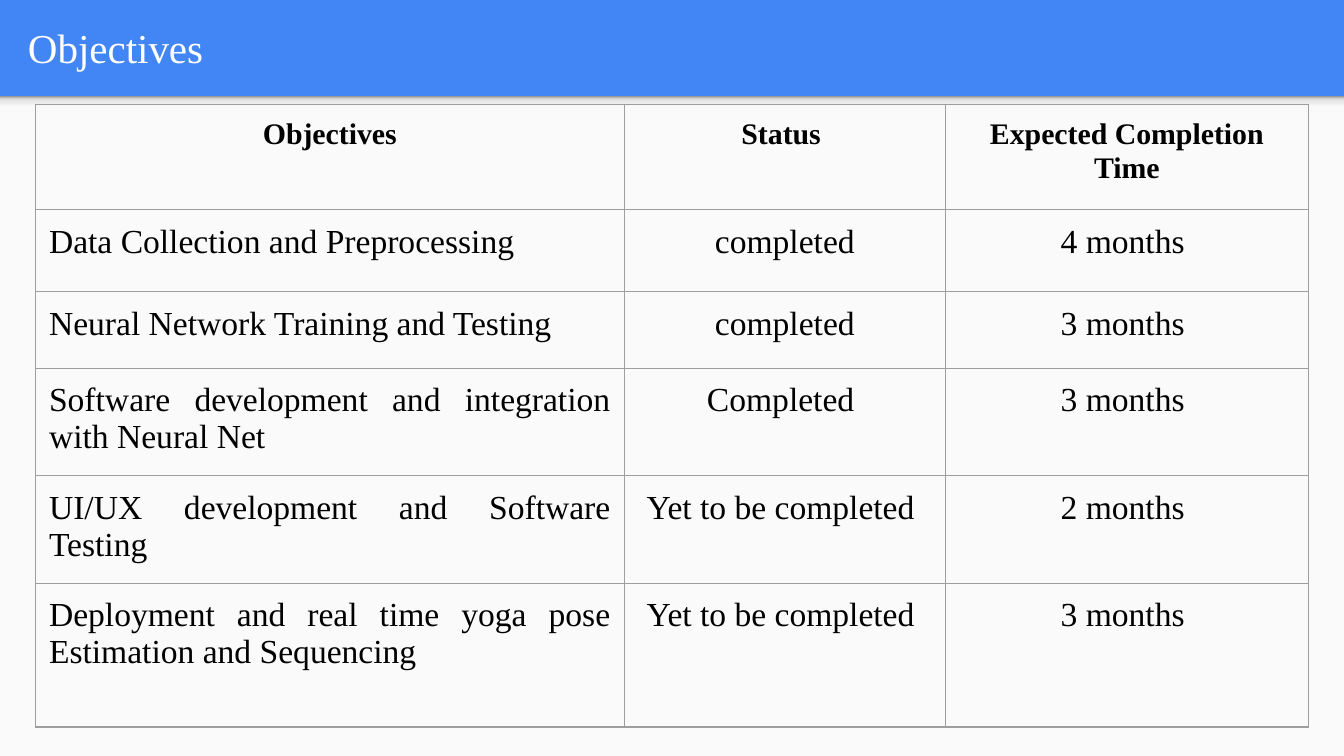
from copy import deepcopy
from dataclasses import dataclass

from lxml import etree
from pptx import Presentation
from pptx.dml.color import RGBColor
from pptx.enum.shapes import MSO_SHAPE
from pptx.enum.text import MSO_ANCHOR, PP_ALIGN
from pptx.oxml.ns import qn
from pptx.util import Inches, Pt

RECTANGLE = MSO_SHAPE.RECTANGLE
MIDDLE = MSO_ANCHOR.MIDDLE
CENTER = PP_ALIGN.CENTER
JUSTIFY = PP_ALIGN.JUSTIFY
LEFT = PP_ALIGN.LEFT

SLIDE_WIDTH = 10
SLIDE_HEIGHT = SLIDE_WIDTH * 9 / 16
BODY_HEIGHT = 4.91
HEADER_HEIGHT = SLIDE_HEIGHT - BODY_HEIGHT
FONT = "Times New Roman"
PADDING = dict.fromkeys(
    ("margin_left", "margin_right", "margin_top", "margin_bottom"), Inches(0.1))
COLUMN_WIDTHS = (4.38, 2.39, 2.7)
ROW_HEIGHTS = (0.78, 0.61, 0.57, 0.79, 0.79, 1.07)
TABLE_WIDTH = sum(COLUMN_WIDTHS)
SHADOW_STOPS = ((0, "F9F9F9"), (0.36, "F9F9F9"), (0.8, "DEDEDE"), (1, "999999"))


@dataclass(frozen=True)
class Objective:
    goal: str
    status: str
    duration: str

    def entries(self) -> tuple[str, str, str]:
        return self.goal, self.status, self.duration


@dataclass(frozen=True)
class TextStyle:
    size: int
    color: str = "000000"
    bold: bool = False
    align: PP_ALIGN = CENTER


HEADINGS = Objective("Objectives", "Status ", "Expected Completion Time")
OBJECTIVES = (
    Objective("Data Collection and Preprocessing", "completed", "4 months "),
    Objective("Neural Network Training and Testing", "completed", "3 months "),
    Objective("Software development and integration with Neural Net",
              "Completed ", "3 months "),
    Objective("UI/UX development and Software Testing ",
              "Yet to be completed ", "2 months "),
    Objective("Deployment and real time yoga pose Estimation and Sequencing",
              "Yet to be completed ", "3 months "),
)


def rgb(color: str) -> RGBColor:
    return RGBColor.from_string(color)


def apply(target, values: dict) -> None:
    for name, value in values.items():
        setattr(target, name, value)


def write(frame, text: str, style: TextStyle) -> None:
    paragraph = frame.paragraphs[0]
    paragraph.alignment = style.align
    run = paragraph.add_run()
    run.text = text
    apply(run.font, {"name": FONT, "size": Pt(style.size), "bold": style.bold})
    run.font.color.rgb = rgb(style.color)


def add_band(slide, top: float, height: float):
    band = slide.shapes.add_shape(
        RECTANGLE, 0, Inches(top), Inches(SLIDE_WIDTH), Inches(height))
    band.shadow.inherit = False
    band.line.fill.background()
    return band


def add_header_shadow(slide) -> None:
    band = add_band(slide, HEADER_HEIGHT, 0.12)
    band.fill.gradient()
    band.fill.gradient_angle = 90
    stop_list = next(band._element.spPr.iter(qn("a:gsLst")))
    while len(stop_list) < len(SHADOW_STOPS):
        stop_list.append(deepcopy(stop_list[0]))
    for stop, (position, color) in zip(band.fill.gradient_stops, SHADOW_STOPS):
        stop.position = position
        stop.color.rgb = rgb(color)


def add_title(slide, text: str) -> None:
    title = slide.shapes.add_textbox(
        Inches(0.11), Inches(0.02), Inches(9.65), Inches(0.66))
    frame = title.text_frame
    apply(frame, {"word_wrap": True, "vertical_anchor": MIDDLE, **PADDING})
    write(frame, text, TextStyle(22, "FFFFFF", align=LEFT))


def outline(cell, color: str, width: float) -> None:
    properties = cell._tc.get_or_add_tcPr()
    for side in ("lnL", "lnR", "lnT", "lnB"):
        border = etree.SubElement(properties, qn(f"a:{side}"), w=str(Pt(width)))
        fill = etree.SubElement(border, qn("a:solidFill"))
        etree.SubElement(fill, qn("a:srgbClr"), val=color)


def add_objectives_table(slide) -> None:
    table = slide.shapes.add_table(
        len(ROW_HEIGHTS), len(COLUMN_WIDTHS),
        Inches((SLIDE_WIDTH - TABLE_WIDTH) / 2), Inches(0.78),
        Inches(TABLE_WIDTH), Inches(sum(ROW_HEIGHTS))).table
    apply(table, {"first_row": False, "horz_banding": False})
    for column, width in zip(table.columns, COLUMN_WIDTHS):
        column.width = Inches(width)
    for row, height in zip(table.rows, ROW_HEIGHTS):
        row.height = Inches(height)

    heading_style = TextStyle(16, bold=True)
    goal_style = TextStyle(18, align=JUSTIFY)
    detail_style = TextStyle(18)
    for row_index, objective in enumerate((HEADINGS, *OBJECTIVES)):
        styles = (goal_style, detail_style, detail_style) if row_index else (heading_style,) * 3
        for column_index, (entry, style) in enumerate(zip(objective.entries(), styles)):
            cell = table.cell(row_index, column_index)
            apply(cell, PADDING)
            outline(cell, "9E9E9E", 0.75)
            cell.fill.background()
            write(cell.text_frame, entry, style)


def main() -> None:
    presentation = Presentation()
    apply(presentation, {"slide_width": Inches(SLIDE_WIDTH),
                         "slide_height": Inches(SLIDE_HEIGHT)})
    slide = presentation.slides.add_slide(presentation.slide_layouts[6])
    backdrop = slide.background.fill
    backdrop.solid()
    backdrop.fore_color.rgb = rgb("4285F4")

    body = add_band(slide, HEADER_HEIGHT, BODY_HEIGHT)
    body.fill.solid()
    body.fill.fore_color.rgb = rgb("FAFAFA")
    add_header_shadow(slide)
    add_title(slide, "Objectives")
    add_objectives_table(slide)
    presentation.save("out.pptx")


if __name__ == "__main__":
    main()
